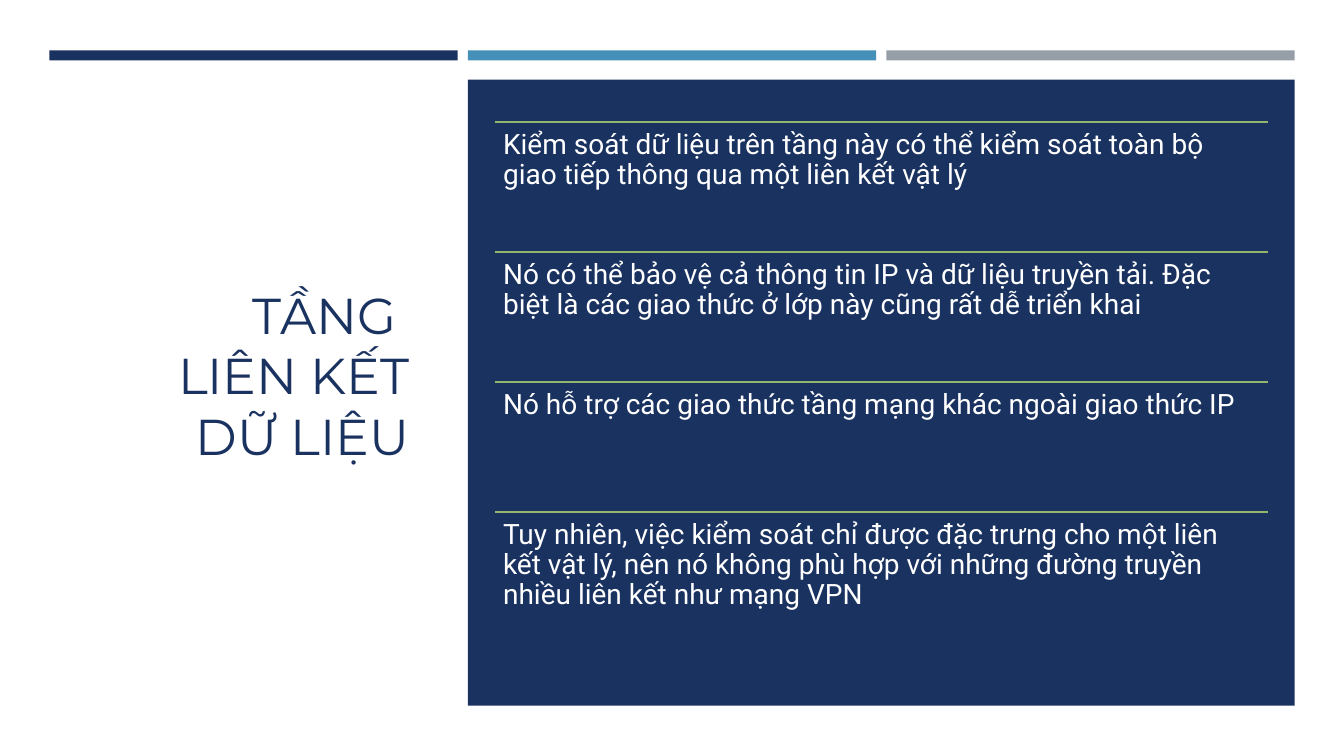
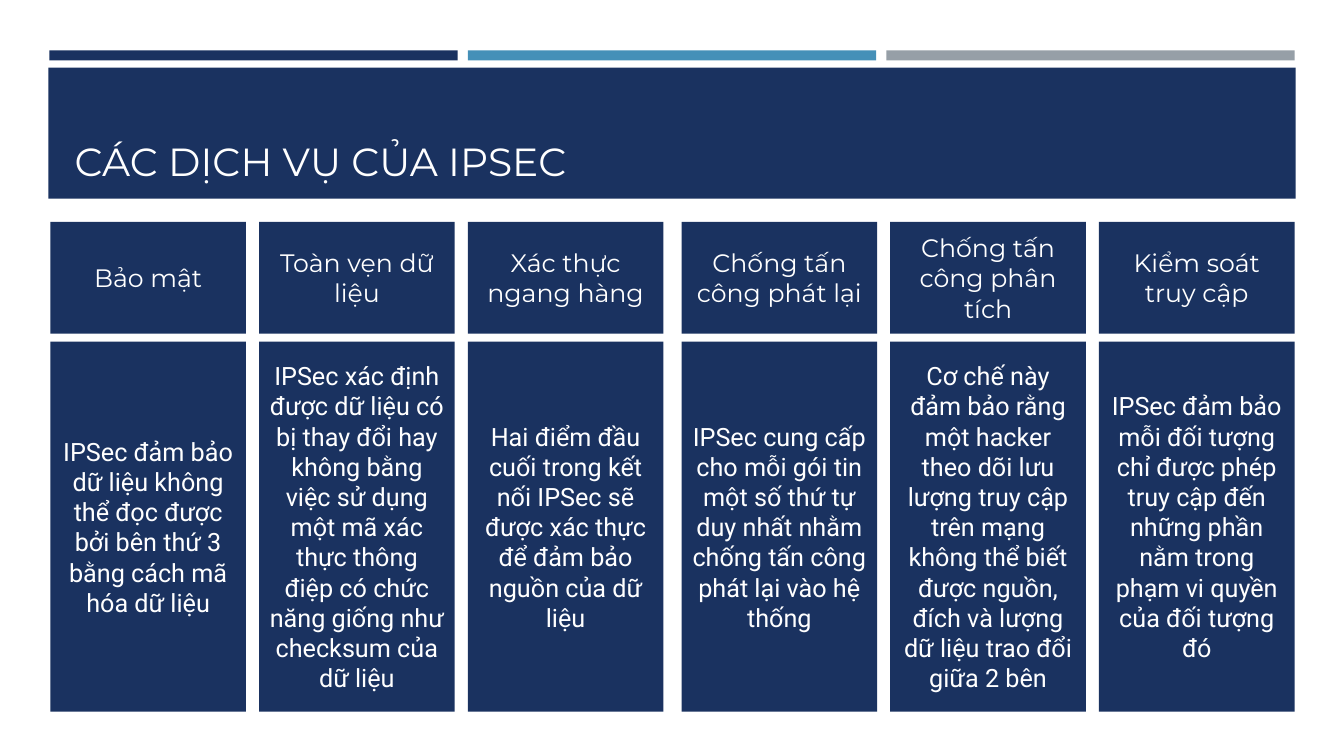
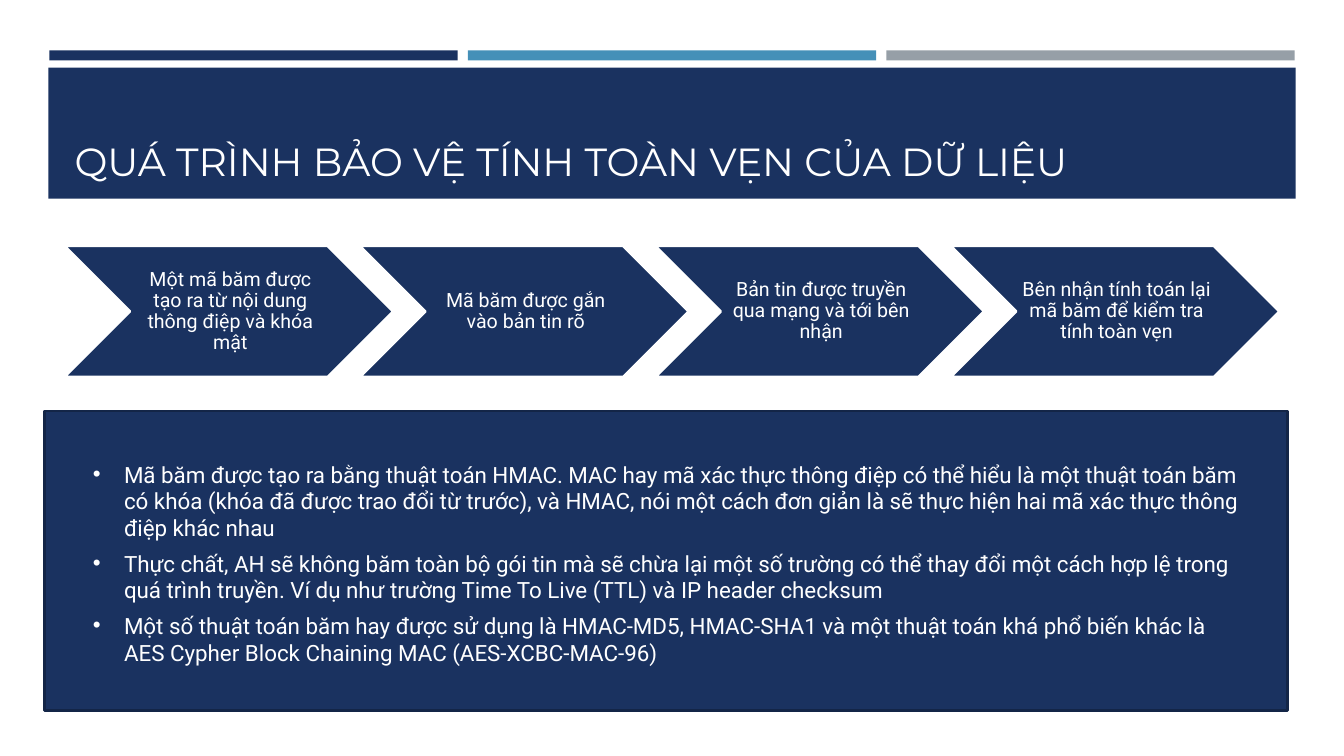
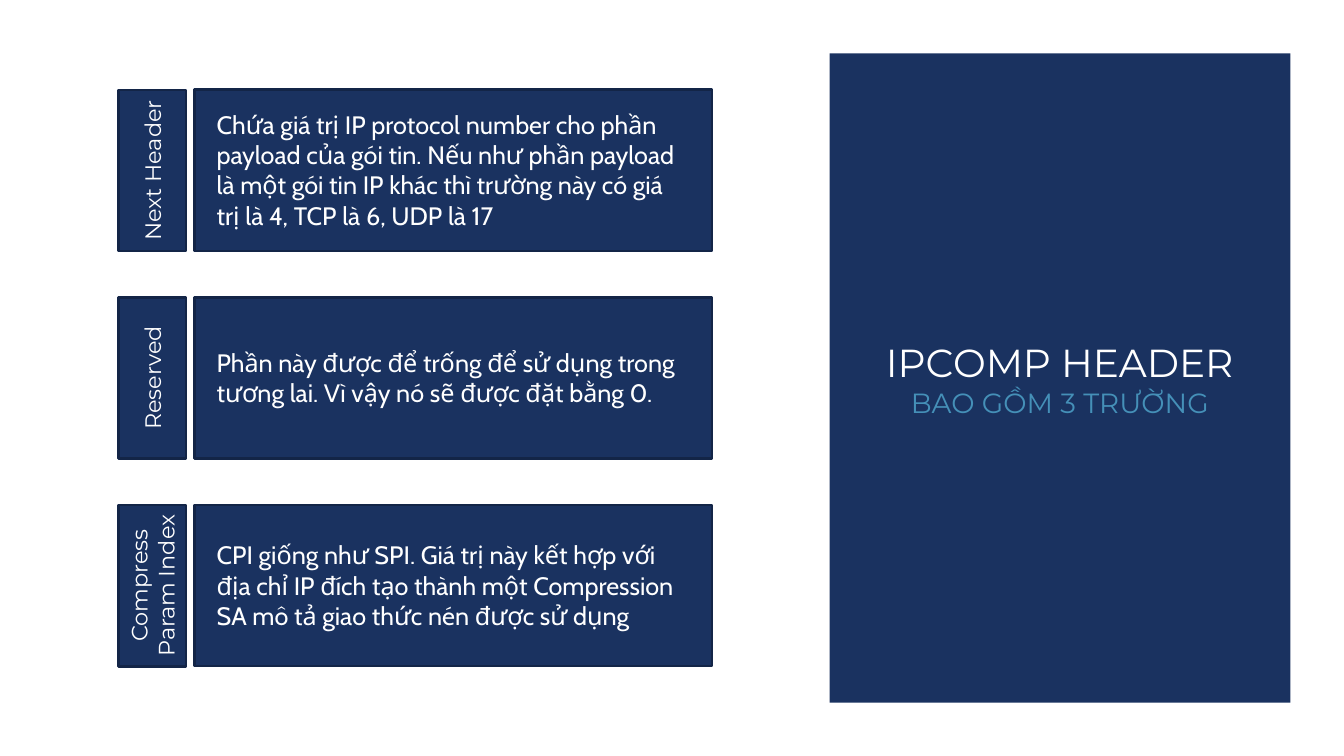
from copy import deepcopy
from dataclasses import dataclass, replace
from typing import NamedTuple

from lxml.etree import SubElement
from pptx import Presentation
from pptx.dml.color import RGBColor
from pptx.enum.shapes import MSO_CONNECTOR as Link, MSO_SHAPE as Form
from pptx.enum.text import MSO_ANCHOR as Anchor, MSO_AUTO_SIZE as Fit, PP_ALIGN as Align
from pptx.oxml.ns import qn
from pptx.shapes.autoshape import Shape
from pptx.slide import Slide
from pptx.text.text import _Paragraph as Para
from pptx.util import Inches, Pt

COLORS = {
    "navy": "1A3260",
    "edge": "132547",
    "blue": "4590B8",
    "gray": "969FA7",
    "green": "93B56C",
    "white": "FFFFFF",
}
HEAD, BODY, NOTE = "Montserrat", "Roboto", "Cabin"
TITLE_ONLY, TITLE_BODY = 5, 1
RULE = 1.75


class Box(NamedTuple):
    left: float
    top: float
    width: float
    height: float


@dataclass(frozen=True)
class Look:
    font: str
    size: float
    color: str = "white"
    align: Align = Align.LEFT
    anchor: Anchor = Anchor.TOP
    spacing: float = 1.0
    inset: tuple[float, float, float, float] = (0.1, 0.05, 0.1, 0.05)


class Piece(NamedTuple):
    text: str
    look: Look


class Service(NamedTuple):
    name: str
    text: str


class Field(NamedTuple):
    name: str
    text: str
    lines: int


SIDE = Look(HEAD, 36, "navy", Align.RIGHT, Anchor.MIDDLE)
BANNER = Look(HEAD, 28, anchor=Anchor.BOTTOM)
PANEL = Look(HEAD, 27.9, align=Align.CENTER, anchor=Anchor.MIDDLE)
POINT = Look(BODY, 20, spacing=0.9, inset=(0.08,) * 4)
NAME = Look(HEAD, 18, align=Align.CENTER, anchor=Anchor.MIDDLE)
CARD = replace(NAME, font=BODY)
STEP = replace(CARD, size=14, spacing=0.9, inset=(0.06, 0.02, 0.02, 0.02))
LIST = Look(BODY, 16)
TAB = replace(NAME, size=16, inset=(0.05,) * 4)
FIELD = Look(NOTE, 18)

POINTS = [
    "Kiểm soát dữ liệu trên tầng này có thể kiểm soát toàn bộ giao tiếp thông qua một liên kết vật lý",
    "Nó có thể bảo vệ cả thông tin IP và dữ liệu truyền tải. Đặc biệt là các giao thức ở lớp này "
    "cũng rất dễ triển khai",
    "Nó hỗ trợ các giao thức tầng mạng khác ngoài giao thức IP",
    "Tuy nhiên, việc kiểm soát chỉ được đặc trưng cho một liên kết vật lý, nên nó không phù hợp với "
    "những đường truyền nhiều liên kết như mạng VPN",
]
SERVICES = [
    Service("Bảo mật", "IPSec đảm bảo dữ liệu không thể đọc được bởi bên thứ 3 bằng cách mã hóa dữ liệu"),
    Service(
        "Toàn vẹn dữ liệu",
        "IPSec xác định được dữ liệu có bị thay đổi hay không bằng việc sử dụng một mã xác thực "
        "thông điệp có chức năng giống như checksum của dữ liệu",
    ),
    Service(
        "Xác thực ngang hàng",
        "Hai điểm đầu cuối trong kết nối IPSec sẽ được xác thực để đảm bảo nguồn của dữ liệu",
    ),
    Service(
        "Chống tấn công phát lại",
        "IPSec cung cấp cho mỗi gói tin một số thứ tự duy nhất nhằm chống tấn công phát lại vào hệ thống",
    ),
    Service(
        "Chống tấn công phân tích",
        "Cơ chế này đảm bảo rằng một hacker theo dõi lưu lượng truy cập trên mạng không thể biết "
        "được nguồn, đích và lượng dữ liệu trao đổi giữa 2 bên",
    ),
    Service(
        "Kiểm soát truy cập",
        "IPSec đảm bảo mỗi đối tượng chỉ được phép truy cập đến những phần nằm trong phạm vi quyền "
        "của đối tượng đó",
    ),
]
STEPS = [
    "Một mã băm được tạo ra từ nội dung thông điệp và khóa mật",
    "Mã băm được gắn vào bản tin rõ",
    "Bản tin được truyền qua mạng và tới bên nhận",
    "Bên nhận tính toán lại mã băm để kiểm tra tính toàn vẹn",
]
FACTS = [
    "Mã băm được tạo ra bằng thuật toán HMAC. MAC hay mã xác thực thông điệp có thể hiểu là một "
    "thuật toán băm có khóa (khóa đã được trao đổi từ trước), và HMAC, nói một cách đơn giản là sẽ "
    "thực hiện hai mã xác thực thông điệp khác nhau",
    "Thực chất, AH sẽ không băm toàn bộ gói tin mà sẽ chừa lại một số trường có thể thay đổi một "
    "cách hợp lệ trong quá trình truyền. Ví dụ như trường Time To Live (TTL) và IP header checksum",
    "Một số thuật toán băm hay được sử dụng là HMAC-MD5, HMAC-SHA1 và một thuật toán khá phổ biến "
    "khác là AES Cypher Block Chaining MAC (AES-XCBC-MAC-96)",
]
FIELDS = [
    Field(
        "Next Header",
        "Chứa giá trị IP protocol number cho phần payload của gói tin. Nếu như phần payload là một "
        "gói tin IP khác thì trường này có giá trị là 4, TCP là 6, UDP là 17",
        4,
    ),
    Field("Reserved", "Phần này được để trống để sử dụng trong tương lai. Vì vậy nó sẽ được đặt bằng 0.", 2),
    Field(
        "Compress Param Index",
        "CPI giống như SPI. Giá trị này kết hợp với địa chỉ IP đích tạo thành một Compression SA "
        "mô tả giao thức nén được sử dụng",
        3,
    ),
]


def paint(name: str) -> RGBColor:
    return RGBColor.from_string(COLORS[name])


def spread(box: Box) -> list[Inches]:
    return [Inches(size) for size in box]


def frame(shape: Shape, look: Look) -> None:
    """Set the wrapping, anchor and insets of the text in a shape."""
    text = shape.text_frame
    text.word_wrap = True
    text.auto_size = Fit.NONE
    text.vertical_anchor = look.anchor
    text.margin_left, text.margin_top, text.margin_right, text.margin_bottom = map(Inches, look.inset)


def fill_para(para: Para, pieces: list[Piece]) -> None:
    """Write the pieces as runs, with a line break between them."""
    para.alignment = pieces[0].look.align
    para.line_spacing = pieces[0].look.spacing
    para.space_before = Pt(0)
    for index, (text, look) in enumerate(pieces):
        if index:
            para.add_line_break()
            para._p[-1].append(deepcopy(para.runs[-1].font._element))
        run = para.add_run()
        run.text = text
        run.font.name = look.font
        run.font.size = Pt(look.size)
        run.font.color.rgb = paint(look.color)


def write(shape: Shape, *pieces: Piece) -> None:
    frame(shape, pieces[0].look)
    fill_para(shape.text_frame.paragraphs[0], list(pieces))


def add_block(slide: Slide, box: Box, fill: str = "navy", line: str = "", form: Form = Form.RECTANGLE) -> Shape:
    block = slide.shapes.add_shape(form, *spread(box))
    block.shadow.inherit = False
    block.fill.solid()
    block.fill.fore_color.rgb = paint(fill)
    if line:
        block.line.color.rgb = paint(line)
        block.line.width = Pt(RULE)
    else:
        block.line.fill.background()
    return block


def add_text(slide: Slide, box: Box, text: str, look: Look) -> None:
    write(slide.shapes.add_textbox(*spread(box)), Piece(text, look))


def add_rule(slide: Slide, left: float, top: float, width: float) -> None:
    rule = slide.shapes.add_connector(
        Link.STRAIGHT, Inches(left), Inches(top), Inches(left + width), Inches(top)
    )
    rule.line.color.rgb = paint("green")
    rule.line.width = Pt(RULE)
    SubElement(rule.element.spPr, qn("a:effectLst"))


def place(holder: Shape, box: Box) -> None:
    """Move a placeholder to its box, in front of what is drawn so far."""
    holder.left, holder.top, holder.width, holder.height = spread(box)
    holder.element.getparent().append(holder.element)


def set_title(slide: Slide, box: Box, *pieces: Piece) -> None:
    place(slide.shapes.title, box)
    write(slide.shapes.title, *pieces)


def add_bars(slide: Slide) -> None:
    for index, color in enumerate(("navy", "blue", "gray")):
        add_block(slide, Box(0.49 + 4.15 * index, 0.5, 4.05, 0.1), color)


def add_banner(slide: Slide, title: str) -> None:
    add_bars(slide)
    add_block(slide, Box(0.48, 0.67, 12.37, 1.3))
    set_title(slide, Box(0.64, 0.77, 12.06, 1.11), Piece(title, BANNER))


def add_bullet(para: Para) -> None:
    props = para._p.get_or_add_pPr()
    props.set("marL", str(Inches(0.31)))
    props.set("indent", str(-Inches(0.31)))
    tint = SubElement(props, qn("a:buClr"))
    SubElement(tint, qn("a:srgbClr"), val=COLORS["white"])
    SubElement(props, qn("a:buFont"), typeface="Arial")
    SubElement(props, qn("a:buChar"), char="•")


def draw_link(slide: Slide) -> None:
    add_bars(slide)
    set_title(slide, Box(0.82, 1.14, 3.34, 5.15), Piece("TẦNG ", SIDE), Piece("LIÊN KẾT DỮ LIỆU", SIDE))
    add_block(slide, Box(4.64, 0.79, 8.2, 6.21))
    left, width, pitch = 4.91, 7.67, 1.29
    for index, point in enumerate(POINTS):
        top = 1.21 + pitch * index
        add_rule(slide, left, top, width)
        add_text(slide, Box(left, top, width, pitch), point, POINT)


def draw_services(slide: Slide) -> None:
    add_banner(slide, "CÁC DỊCH VỤ CỦA IPSEC")
    for index, service in enumerate(SERVICES):
        half, column = divmod(index, 3)
        left = 0.5 + 6.26 * half + 2.07 * column
        write(add_block(slide, Box(left, 3.39, 1.94, 3.67)), Piece(service.text, CARD))
        write(add_block(slide, Box(left, 2.2, 1.94, 1.11)), Piece(service.name, NAME))


def draw_process(slide: Slide) -> None:
    add_banner(slide, "QUÁ TRÌNH BẢO VỆ TÍNH TOÀN VẸN CỦA DỮ LIỆU")
    top, height = 2.44, 1.3
    for index, step in enumerate(STEPS):
        left = 0.64 + 2.93 * index
        add_block(slide, Box(left, top, 3.26, height), line="white", form=Form.CHEVRON)
        add_text(slide, Box(left + height / 2, top, 1.95, height), step, STEP)
    add_block(slide, Box(0.44, 4.08, 12.33, 2.97), line="edge")
    body = slide.placeholders[1]
    place(body, Box(0.82, 4.52, 11.58, 2.15))
    frame(body, LIST)
    text = body.text_frame
    for index, fact in enumerate(FACTS):
        para = text.add_paragraph() if index else text.paragraphs[0]
        add_bullet(para)
        fill_para(para, [Piece(fact, LIST)])
        para.space_after = Pt(6)


def draw_header(slide: Slide) -> None:
    add_block(slide, Box(8.23, 0.53, 4.57, 6.44))
    set_title(
        slide,
        Box(8.67, 3.28, 3.68, 0.95),
        Piece("IPCOMP HEADER", PANEL),
        Piece("BAO GỒM 3 TRƯỜNG", replace(PANEL, size=19.8, color="blue")),
    )
    height, depth = 1.6, 0.67
    for index, field in enumerate(FIELDS):
        top = 0.89 + 2.06 * index
        middle = top + height / 2
        tab = add_block(slide, Box(0.71, middle - depth / 2, height, depth), line="edge")
        tab.rotation = 270
        write(tab, Piece(field.name, TAB))
        add_block(slide, Box(1.93, top, 5.13, height), line="edge")
        tall = 0.11 + 0.3 * field.lines
        add_text(slide, Box(2.05, middle - tall / 2, 4.86, tall), field.text, FIELD)


def main() -> None:
    deck = Presentation()
    deck.slide_width, deck.slide_height = Inches(13.33), Inches(7.5)
    pages = [
        (draw_link, TITLE_ONLY),
        (draw_services, TITLE_ONLY),
        (draw_process, TITLE_BODY),
        (draw_header, TITLE_ONLY),
    ]
    for draw, layout in pages:
        draw(deck.slides.add_slide(deck.slide_layouts[layout]))
    deck.save("out.pptx")


if __name__ == "__main__":
    main()
